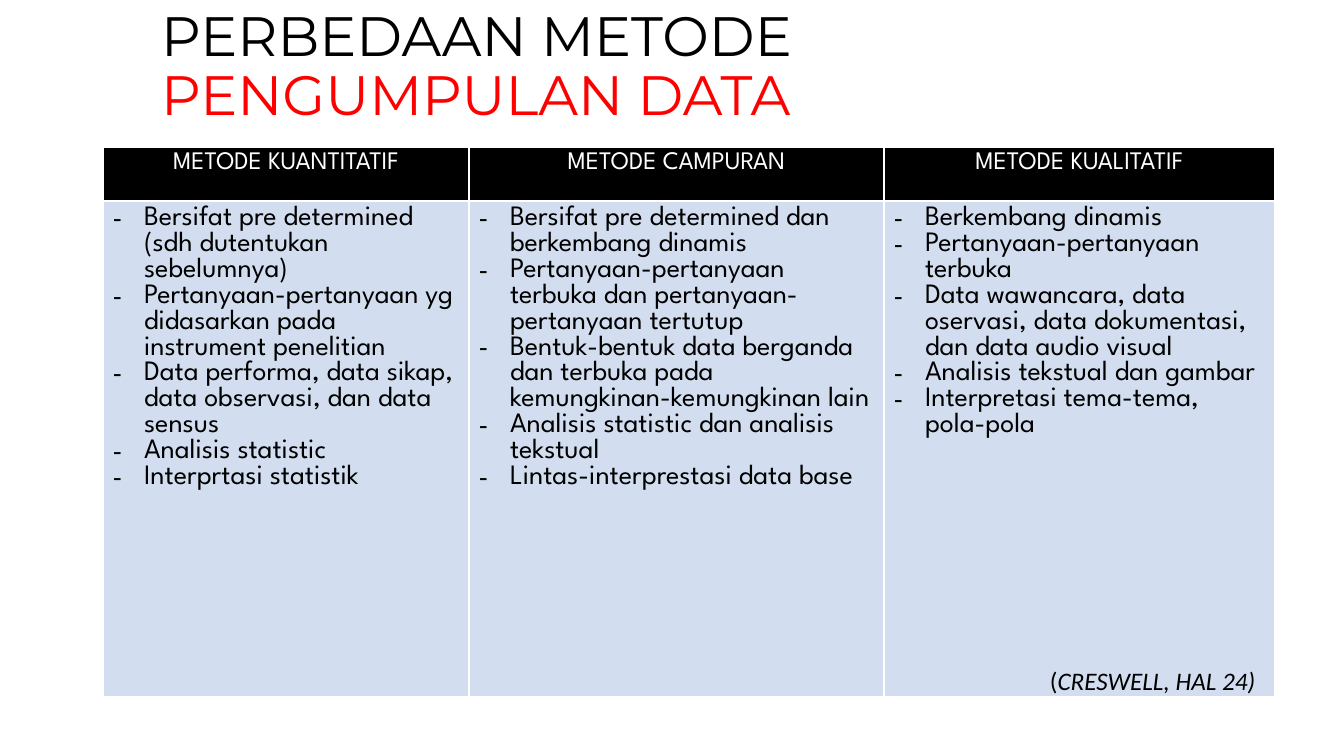
from dataclasses import dataclass

from lxml import etree
from pptx import Presentation
from pptx.dml.color import RGBColor
from pptx.enum.text import MSO_ANCHOR, MSO_AUTO_SIZE, PP_ALIGN
from pptx.oxml.ns import qn
from pptx.util import Emu, Pt

LEFT, CENTER = PP_ALIGN.LEFT, PP_ALIGN.CENTER
MIDDLE = MSO_ANCHOR.MIDDLE
NO_FIT, GROW = MSO_AUTO_SIZE.NONE, MSO_AUTO_SIZE.SHAPE_TO_FIT_TEXT
TITLE_ONLY = 5
PIXEL = 914400 / 100.8


@dataclass(frozen=True)
class Theme:
    """Colours, fonts and type sizes of the slide."""
    black: str = "000000"
    white: str = "FFFFFF"
    red: str = "FF0000"
    pale_blue: str = "D2DEEF"
    title_font: str = "Montserrat"
    table_font: str = "League Spartan"
    note_font: str = "Calibri"
    title_size: float = 39.6
    header_size: float = 18
    body_size: float = 20
    note_size: float = 18
    border_width: float = 1


def px(pixels):
    """Turn whole pixels into EMU."""
    return Emu(round(pixels * PIXEL))


class SlideBuilder:
    """Holds the theme and the current slide."""

    def __init__(self, deck, theme):
        """Add a title-only page to the deck."""
        self.theme = theme
        self.page = deck.slides.add_slide(deck.slide_layouts[TITLE_ONLY])

    def span(self, para, text, font, size, color, italic=False):
        """Add one formatted run to a paragraph."""
        run = para.add_run()
        run.text = text
        run.font.name = font
        run.font.size = Pt(size)
        run.font.bold = False
        run.font.italic = italic
        run.font.color.rgb = RGBColor.from_string(color)

    def title(self, area, parts):
        """Fill the title placeholder with (text, colour) parts."""
        box = self.page.shapes.title
        box.left, box.top, box.width, box.height = map(px, area)
        frame = box.text_frame
        frame.word_wrap = True
        frame.auto_size = NO_FIT
        frame.vertical_anchor = MIDDLE
        para = frame.paragraphs[0]
        para.alignment = LEFT
        para.line_spacing = 0.9
        for text, color in parts:
            self.span(para, text, self.theme.title_font, self.theme.title_size, color)

    def paint_cell(self, cell, color):
        """Give a cell white borders and a solid fill."""
        properties = cell._tc.get_or_add_tcPr()
        for side in ("a:lnL", "a:lnR", "a:lnT", "a:lnB"):
            line = etree.SubElement(properties, qn(side), w=str(Pt(self.theme.border_width)))
            fill = etree.SubElement(line, qn("a:solidFill"))
            etree.SubElement(fill, qn("a:srgbClr"), val=self.theme.white)
        cell.fill.solid()
        cell.fill.fore_color.rgb = RGBColor.from_string(color)

    def dash(self, para, indent):
        """Give a paragraph a hanging dash bullet."""
        properties = para._p.get_or_add_pPr()
        properties.set("marL", str(px(indent)))
        properties.set("indent", str(-px(indent)))
        etree.SubElement(properties, qn("a:buFont"), typeface=self.theme.note_font)
        etree.SubElement(properties, qn("a:buChar"), char="-")

    def table(self, left, top, widths, heights, columns):
        """Add a table of (heading, list items) columns."""
        theme = self.theme
        grid = self.page.shapes.add_table(
            len(heights), len(widths), px(left), px(top),
            px(sum(widths)), px(sum(heights))).table
        grid.first_row = grid.horz_banding = False
        for row, height in zip(grid.rows, heights):
            row.height = px(height)
        for index, (width, (heading, items)) in enumerate(zip(widths, columns)):
            grid.columns[index].width = px(width)
            header, body = grid.cell(0, index), grid.cell(1, index)
            self.paint_cell(header, theme.black)
            self.paint_cell(body, theme.pale_blue)
            para = header.text_frame.paragraphs[0]
            para.alignment = CENTER
            self.span(para, heading, theme.table_font, theme.header_size, theme.white)
            frame = body.text_frame
            for number, item in enumerate(items):
                para = frame.add_paragraph() if number else frame.paragraphs[0]
                self.dash(para, 31)
                self.span(para, item, theme.table_font, theme.body_size, theme.black)

    def note(self, area, parts):
        """Add a one-line text box of (text, italic) parts."""
        frame = self.page.shapes.add_textbox(*map(px, area)).text_frame
        frame.word_wrap = False
        frame.auto_size = GROW
        for text, italic in parts:
            self.span(frame.paragraphs[0], text, self.theme.note_font,
                      self.theme.note_size, self.theme.black, italic)


COLUMNS = [
    ("METODE KUANTITATIF", [
        "Bersifat pre determined (sdh dutentukan sebelumnya)",
        "Pertanyaan-pertanyaan yg didasarkan pada instrument penelitian",
        "Data performa, data sikap, data observasi, dan data sensus",
        "Analisis statistic",
        "Interprtasi statistik"]),
    ("METODE CAMPURAN", [
        "Bersifat pre determined dan berkembang dinamis",
        "Pertanyaan-pertanyaan terbuka dan pertanyaan-pertanyaan tertutup",
        "Bentuk-bentuk data berganda dan terbuka pada kemungkinan-kemungkinan lain",
        "Analisis statistic dan analisis tekstual",
        "Lintas-interprestasi data base"]),
    ("METODE KUALITATIF", [
        "Berkembang dinamis",
        "Pertanyaan-pertanyaan terbuka",
        "Data wawancara, data oservasi, data dokumentasi, dan data audio visual",
        "Analisis tekstual dan gambar",
        "Interpretasi tema-tema, pola-pola"]),
]


def main():
    """Build the slide and save the deck."""
    theme = Theme()
    deck = Presentation()
    deck.slide_width, deck.slide_height = px(1344), px(756)
    builder = SlideBuilder(deck, theme)
    builder.title((151, 13, 1058, 110), [
        ("PERBEDAAN METODE ", theme.black), ("PENGUMPULAN DATA", theme.red)])
    builder.table(103, 147, (366, 415, 391), (54, 496), COLUMNS)
    builder.note((1040, 660, 246, 40), [("(", False), ("CRESWELL, HAL 24)", True)])
    deck.save("out.pptx")


main()
